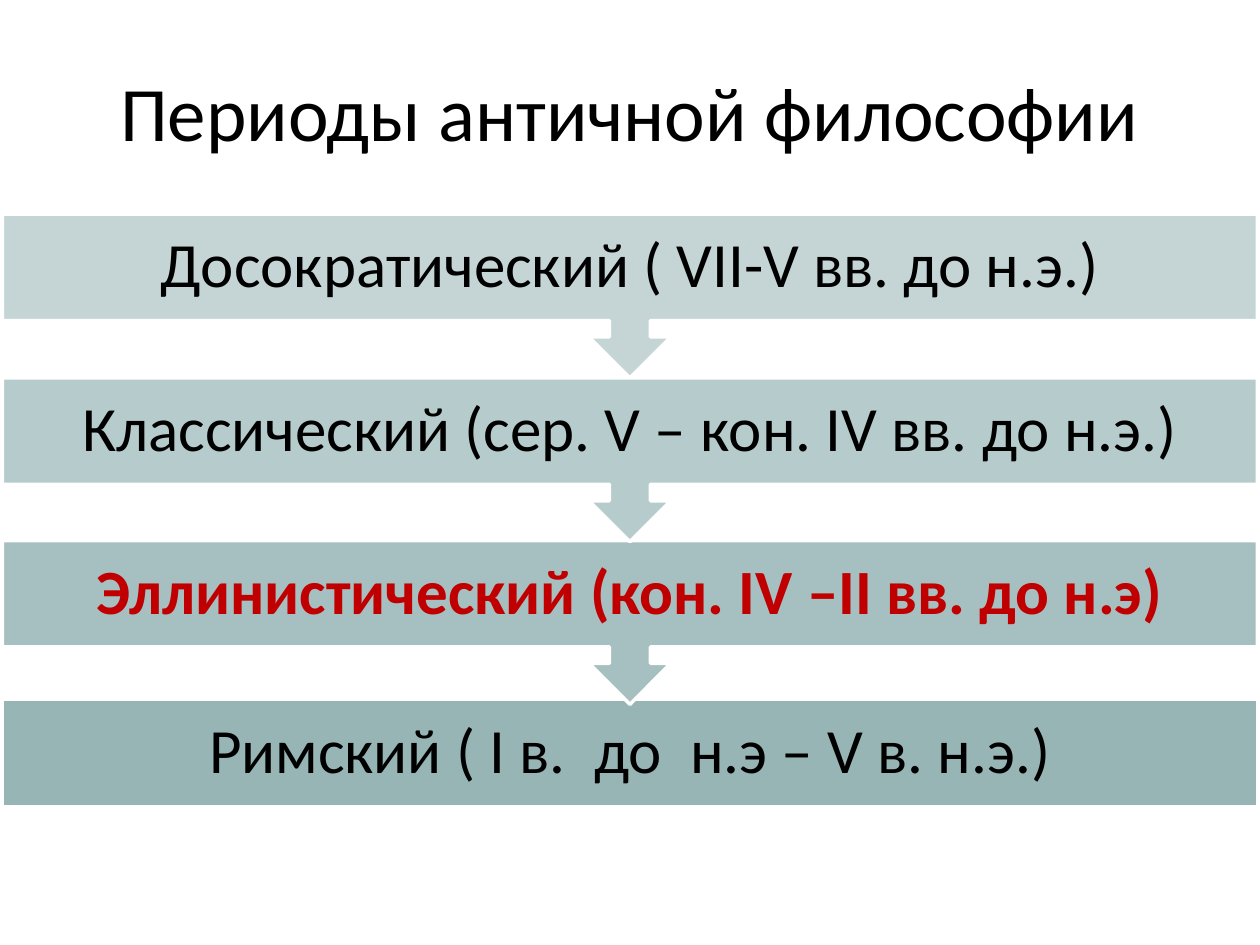
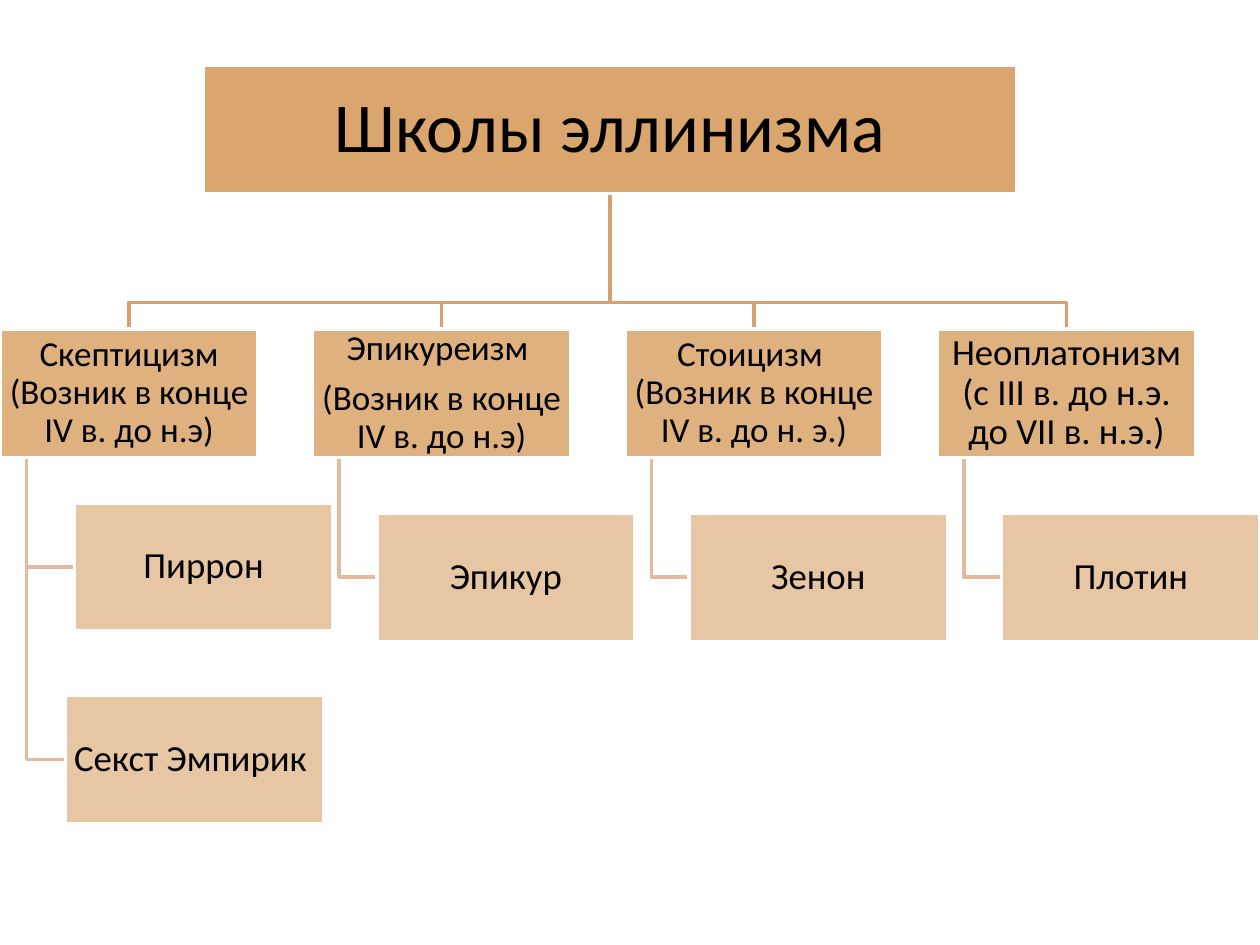
import pptx
import pptx.util
import pptx.dml.color
import pptx.enum.shapes
import pptx.enum.text
import pptx.oxml
import pptx.oxml.ns

Inches = pptx.util.Inches
Pt = pptx.util.Pt
RGBColor = pptx.dml.color.RGBColor
SHAPES = pptx.enum.shapes.MSO_SHAPE

FONT = "Calibri"
BLACK = RGBColor(0x00, 0x00, 0x00)
WHITE = RGBColor(0xFF, 0xFF, 0xFF)
RED = RGBColor(0xC0, 0x00, 0x00)
TEAL = RGBColor(0x8C, 0xAD, 0xAE)
OCHRE = RGBColor(0xD1, 0x90, 0x49)
TRUNK = RGBColor(0xD6, 0xA0, 0x70)
BRANCH = RGBColor(0xE0, 0xBB, 0x9F)


def style_box(shape, text, size, fill=None, opacity=100, inset=0.01, color=BLACK, bold=False):
    """Write centred text; with a fill, add the tint and the white border."""
    if fill is not None:
        shape.shadow.inherit = False
        shape.fill.solid()
        shape.fill.fore_color.rgb = fill
        tint = shape._element.spPr.find(".//" + pptx.oxml.ns.qn("a:srgbClr"))
        tint.append(pptx.oxml.parse_xml(
            f'<a:alpha {pptx.oxml.ns.nsdecls("a")} val="{opacity * 1000}"/>'))
        shape.line.color.rgb = WHITE
        shape.line.width = Pt(2)
    frame = shape.text_frame
    frame.text = text
    frame.word_wrap = True
    frame.auto_size = pptx.enum.text.MSO_AUTO_SIZE.NONE
    frame.vertical_anchor = pptx.enum.text.MSO_ANCHOR.MIDDLE
    frame.margin_left = frame.margin_right = Inches(inset)
    frame.margin_top = frame.margin_bottom = Inches(0.01)
    for paragraph in frame.paragraphs:
        paragraph.alignment = pptx.enum.text.PP_ALIGN.CENTER
        paragraph.line_spacing = 0.9
        paragraph.font.name = FONT
        paragraph.font.size = Pt(size)
        paragraph.font.bold = bold
        paragraph.font.color.rgb = color
    for paragraph in frame.paragraphs[:-1]:
        paragraph.space_after = Pt(0.35 * size)


def add_elbow(slide, points, color):
    """Draw an open line through points given in inches."""
    start, *rest = [(Inches(x), Inches(y)) for x, y in points]
    builder = slide.shapes.build_freeform(*start)
    builder.add_line_segments(rest, close=False)
    line = builder.convert_to_shape()
    line.shadow.inherit = False
    line.fill.background()
    line.line.color.rgb = color
    line.line.width = Pt(2)


presentation = pptx.Presentation()
presentation.slide_width = Inches(10)
presentation.slide_height = Inches(7.5)
title_layout = presentation.slide_layouts[5]

# Periods: a chain of bands, drawn from the bottom up so each arrow lies on top
slide = presentation.slides.add_slide(title_layout)
title = slide.shapes.title
title.left, title.top, title.width, title.height = map(Inches, (0.5, 0.3, 9, 1.25))
style_box(title, "Периоды античной философии", 44, inset=0.1)

periods = [
    ("Римский ( I в.  до  н.э – V в. н.э.)", 5.55, 90),
    ("Эллинистический (кон. IV –II вв. до н.э)", 4.29, 77),
    ("Классический (сер. V – кон. IV вв. до н.э.)", 3, 63),
    ("Досократический ( VII-V вв. до н.э.)", 1.7, 50),
]
for index, (period, top, opacity) in enumerate(periods):
    is_last_period = index == 0
    is_current = period.startswith("Эллинистический")
    band = slide.shapes.add_shape(
        SHAPES.RECTANGLE if is_last_period else SHAPES.DOWN_ARROW_CALLOUT,
        Inches(0.02), Inches(top), Inches(9.96), Inches(0.85 if is_last_period else 1.3))
    style_box(band, period, 36, TEAL, opacity, inset=0.28,
              color=RED if is_current else BLACK, bold=is_current)

# Schools: a tree with one column per school
slide = presentation.slides.add_slide(title_layout)
title = slide.shapes.title
title.left, title.top, title.width, title.height = map(Inches, (1.61, 0.52, 6.46, 1.02))
style_box(title, "Школы эллинизма", 40, OCHRE, 80, inset=0.03)

COLUMN_STEP = 2.48
BOX_WIDTH, BOX_HEIGHT = 2.05, 1.02
SCHOOL_TOP = 2.61
ROOT_CENTER = 4.84

# Each thinker: name, offset from the column's left edge, top
schools = [
    ("Скептицизм (Возник в конце IV в. до н.э)", 20,
     [("Пиррон", 0.59, 3.99), ("Секст Эмпирик ", 0.52, 5.52)]),
    ("Эпикуреизм \n(Возник в конце IV в. до н.э)", 20, [("Эпикур", 0.51, 4.07)]),
    ("Стоицизм \v(Возник в конце IV в. до н. э.)", 20, [("Зенон", 0.51, 4.07)]),
    ("Неоплатонизм\v(с III в. до н.э. до VII в. н.э.)", 21, [("Плотин", 0.51, 4.07)]),
]
for column, (school, size, thinkers) in enumerate(schools):
    left = column * COLUMN_STEP
    center = left + BOX_WIDTH / 2
    add_elbow(slide, [(ROOT_CENTER, 1.55), (ROOT_CENTER, 2.4),
                      (center, 2.4), (center, SCHOOL_TOP)], TRUNK)
    boxes = [(school, left, SCHOOL_TOP, size, 70)]
    for thinker, offset, top in thinkers:
        middle = top + BOX_HEIGHT / 2
        add_elbow(slide, [(left + 0.21, SCHOOL_TOP + BOX_HEIGHT), (left + 0.21, middle),
                          (left + offset, middle)], BRANCH)
        boxes.append((thinker, left + offset, top, 21, 50))
    for text, box_left, top, text_size, opacity in boxes:
        box = slide.shapes.add_shape(SHAPES.RECTANGLE, Inches(box_left), Inches(top),
                                     Inches(BOX_WIDTH), Inches(BOX_HEIGHT))
        style_box(box, text, text_size, OCHRE, opacity)

presentation.save("out.pptx")
